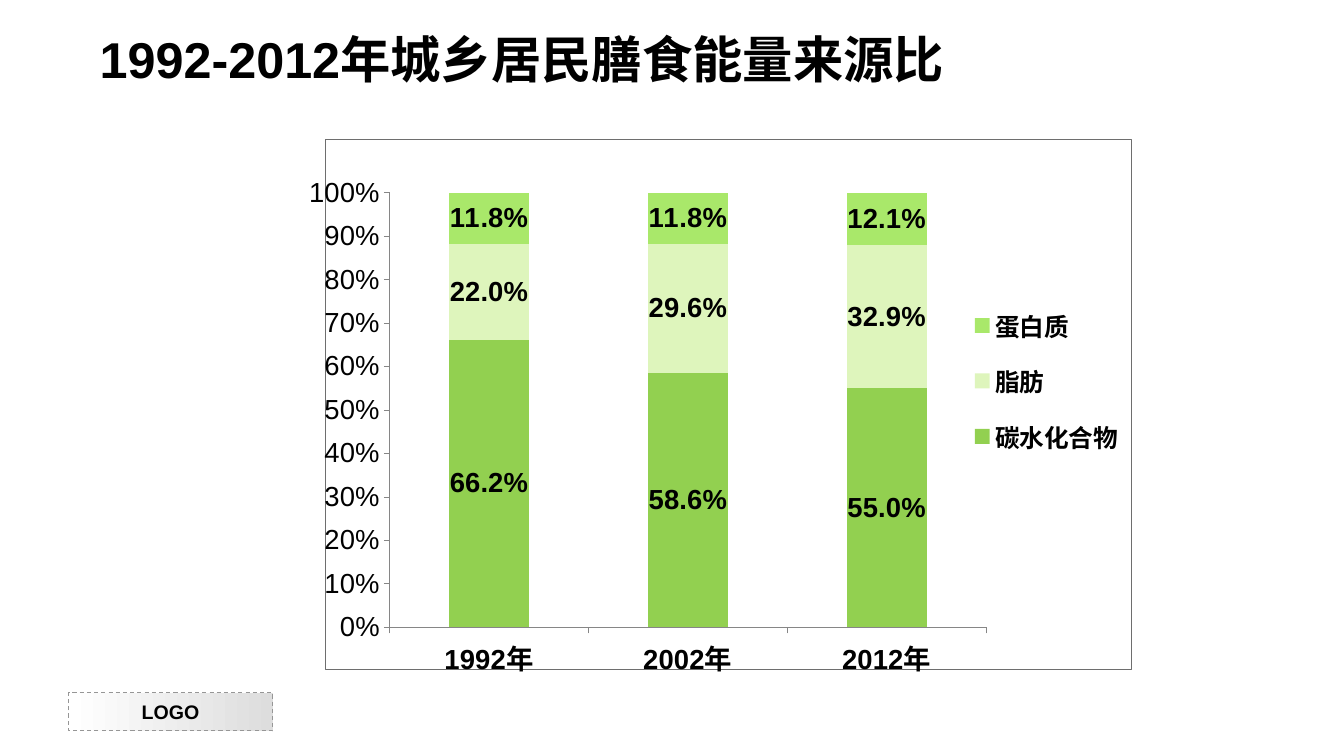
from lxml import etree
from pptx import Presentation
from pptx.chart.data import CategoryChartData
from pptx.dml.color import RGBColor
from pptx.enum.chart import XL_CHART_TYPE as ChartType, XL_LEGEND_POSITION as LegendPosition
from pptx.enum.chart import XL_TICK_MARK as TickMark
from pptx.enum.dml import MSO_LINE
from pptx.enum.shapes import MSO_SHAPE
from pptx.enum.text import MSO_ANCHOR, PP_ALIGN
from pptx.oxml import parse_xml
from pptx.oxml.ns import nsdecls, qn
from pptx.util import Pt

BLACK = RGBColor(0x00, 0x00, 0x00)
WHITE = RGBColor(0xFF, 0xFF, 0xFF)
LIGHT_GRAY = RGBColor(0xDD, 0xDD, 0xDD)
GRAY = RGBColor(0x96, 0x96, 0x96)
AXIS_GRAY = RGBColor(0x86, 0x86, 0x86)
BORDER_GRAY = RGBColor(0x6E, 0x6E, 0x6E)
GREEN = RGBColor(0x92, 0xD0, 0x50)
PALE_GREEN = RGBColor(0xDE, 0xF5, 0xBC)
LIGHT_GREEN = RGBColor(0xA9, 0xE8, 0x6A)

YEARS = ["1992年", "2002年", "2012年"]
NUTRIENTS = [
    ("碳水化合物", (0.662, 0.586, 0.55), GREEN),
    ("脂肪", (0.22, 0.296, 0.329), PALE_GREEN),
    ("蛋白质", (0.118, 0.118, 0.121), LIGHT_GREEN),
]
PLOT_LAYOUT = {"x": 0.08, "y": 0.1, "w": 0.74, "h": 0.82}
LEGEND_LAYOUT = {"x": 0.8, "y": 0.28, "w": 0.19, "h": 0.35}


def set_layout(element, layout, inner=False):
    """Give a plot area or legend a manual place, in fractions of the chart."""
    for old in element.findall(qn("c:layout")):
        element.remove(old)
    target = '<c:layoutTarget val="inner"/>' if inner else ""
    modes = "".join(f'<c:{key}Mode val="edge"/>' for key in "xy")
    sizes = "".join(f'<c:{key} val="{value}"/>' for key, value in layout.items())
    node = parse_xml(f'<c:layout {nsdecls("c")}><c:manualLayout>{target}{modes}{sizes}'
                     "</c:manualLayout></c:layout>")
    position = element.find(qn("c:legendPos"))
    if position is None:
        element.insert(0, node)
    else:
        position.addnext(node)


class SlideBuilder:
    def __init__(self, slide, font_name="Arial"):
        self.slide = slide
        self.font_name = font_name

    def style_font(self, font, size, bold=False):
        values = {"name": self.font_name, "size": Pt(size), "bold": bold}
        for name, value in values.items():
            setattr(font, name, value)
        font.color.rgb = BLACK

    def set_text(self, shape, text, size, align):
        frame = shape.text_frame
        frame.text = text
        frame.vertical_anchor = MSO_ANCHOR.MIDDLE
        paragraph = frame.paragraphs[0]
        paragraph.alignment = align
        self.style_font(paragraph.runs[0].font, size, bold=True)

    def title(self, text, left, top, width, height):
        shape = self.slide.shapes.title
        box = {"left": left, "top": top, "width": width, "height": height}
        for name, value in box.items():
            setattr(shape, name, Pt(value))
        self.set_text(shape, text, 36, PP_ALIGN.LEFT)

    def badge(self, text, *box):
        shape = self.slide.shapes.add_shape(MSO_SHAPE.RECTANGLE, *map(Pt, box))
        shape.shadow.inherit = False
        shape.fill.gradient()
        shape.fill.gradient_angle = 0
        for stop, color in zip(shape.fill.gradient_stops, (WHITE, LIGHT_GRAY)):
            stop.color.rgb = color
        shape.line.color.rgb = GRAY
        shape.line.width = Pt(0.75)
        shape.line.dash_style = MSO_LINE.DASH
        self.set_text(shape, text, 14, PP_ALIGN.CENTER)

    def stacked_chart(self, categories, rows, *box):
        data = CategoryChartData(number_format="0.0%")
        data.categories = categories
        for name, values, _ in rows:
            data.add_series(name, values)
        chart = self.slide.shapes.add_chart(
            ChartType.COLUMN_STACKED_100, *map(Pt, box), data).chart
        chart.has_title = False
        self.style_font(chart.font, 12)

        plot = chart.plots[0]
        plot.gap_width, plot.overlap, plot.vary_by_categories = 150, 100, False
        for series, (_, _, color) in zip(plot.series, rows):
            series.format.fill.solid()
            series.format.fill.fore_color.rgb = color
            labels = series.data_labels
            label_format = {"show_value": True, "number_format": "0.0%",
                            "number_format_is_linked": False}
            for name, value in label_format.items():
                setattr(labels, name, value)
            self.style_font(labels.font, 20, bold=True)

        for axis, bold in ((chart.category_axis, True), (chart.value_axis, False)):
            axis.has_major_gridlines = False
            axis.major_tick_mark = TickMark.OUTSIDE
            axis.format.line.color.rgb = AXIS_GRAY
            axis.format.line.width = Pt(0.75)
            self.style_font(axis.tick_labels.font, 20, bold)
        value_axis = chart.value_axis
        value_axis.minimum_scale, value_axis.maximum_scale, value_axis.major_unit = 0, 1, 0.1
        value_axis.tick_labels.number_format = "0%"
        value_axis.tick_labels.number_format_is_linked = False

        chart.has_legend = True
        legend = chart.legend
        legend.position = LegendPosition.RIGHT
        legend.include_in_layout = False
        self.style_font(legend.font, 18, bold=True)
        space = chart.element
        set_layout(space.find(".//" + qn("c:plotArea")), PLOT_LAYOUT, inner=True)
        set_layout(space.find(".//" + qn("c:legend")), LEGEND_LAYOUT)
        self.chart_border(space)

    def chart_border(self, space):
        properties = etree.Element(qn("c:spPr"))
        etree.SubElement(properties, qn("a:noFill"))
        line = etree.SubElement(properties, qn("a:ln"), w=str(Pt(0.75)))
        fill = etree.SubElement(line, qn("a:solidFill"))
        etree.SubElement(fill, qn("a:srgbClr"), val=str(BORDER_GRAY))
        space.find(qn("c:chart")).addnext(properties)


def main():
    presentation = Presentation()
    presentation.slide_width, presentation.slide_height = Pt(961.2), Pt(540)
    slide = presentation.slides.add_slide(presentation.slide_layouts[5])
    builder = SlideBuilder(slide)
    builder.badge("LOGO", 49, 495.4, 146, 27.4)
    builder.stacked_chart(YEARS, NUTRIENTS, 221, 99.6, 588.5, 385)
    builder.title("1992-2012年城乡居民膳食能量来源比", 64, 16.6, 680.4, 51)
    presentation.save("out.pptx")


if __name__ == "__main__":
    main()
